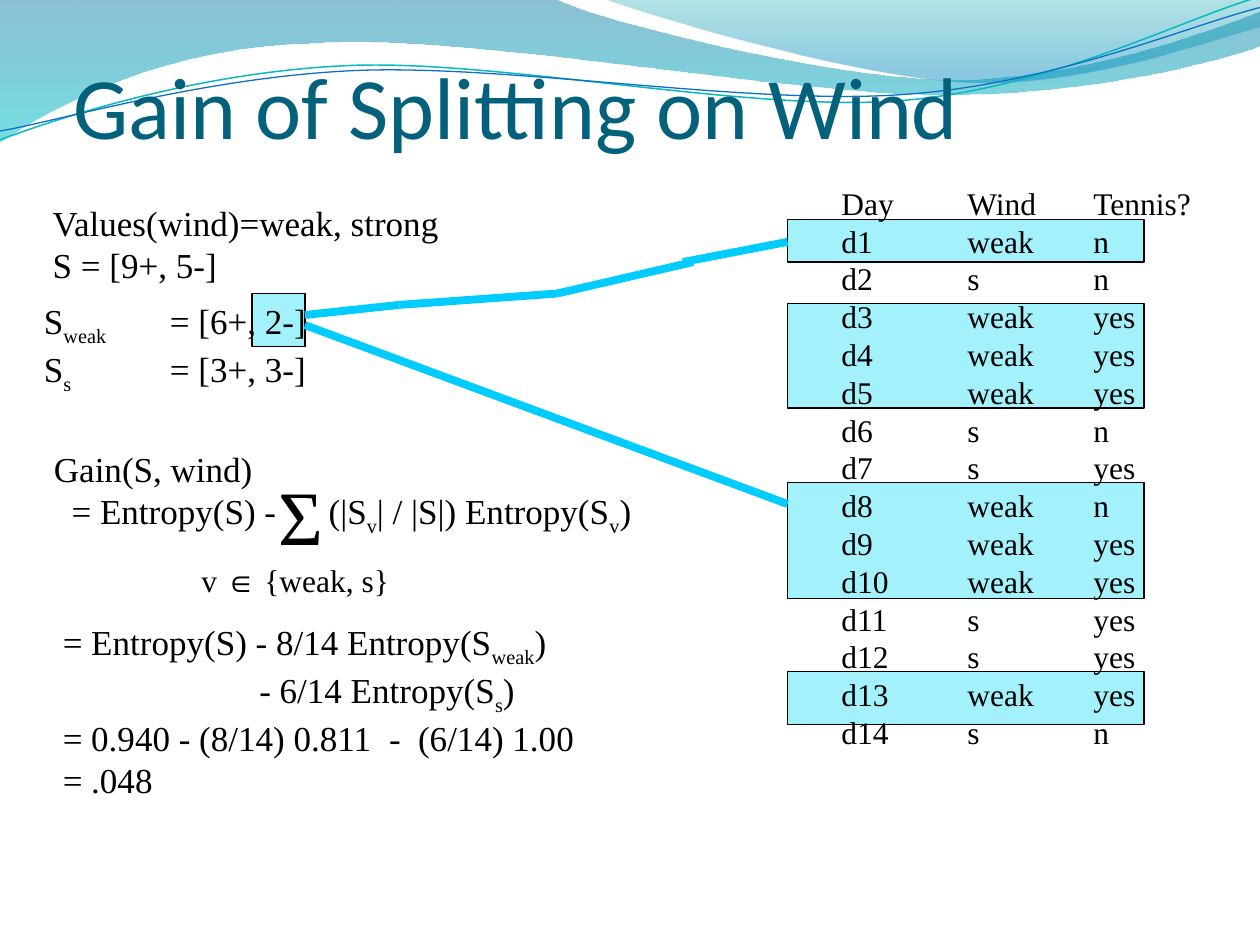
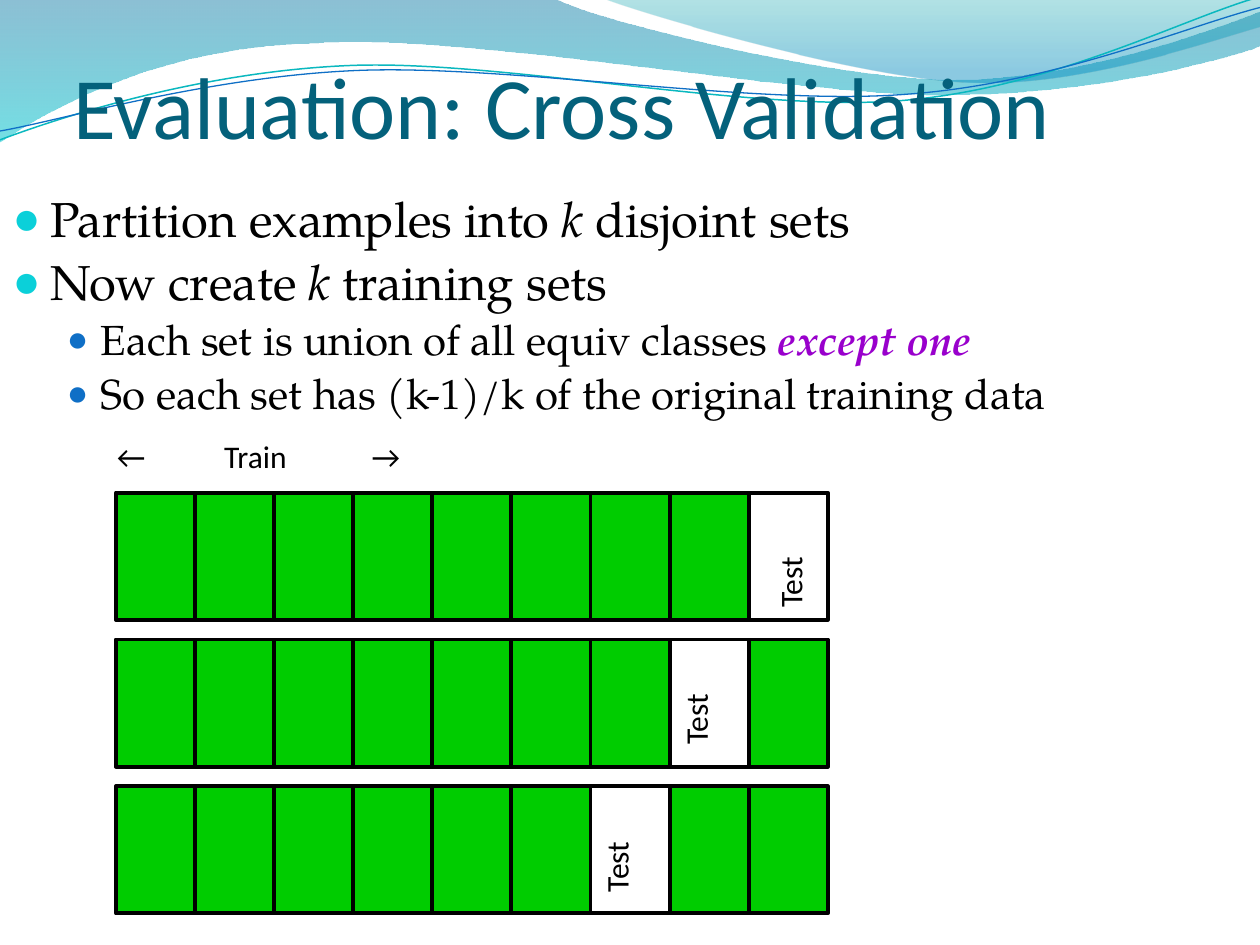
"""Build two lecture slides: information gain of a split, and cross validation."""
import dataclasses
import math
import typing

import lxml.etree
import pptx
import pptx.dml.color
import pptx.enum.shapes
import pptx.enum.text
import pptx.oxml.ns
import pptx.util

Inches = pptx.util.Inches
Pt = pptx.util.Pt
RGB = pptx.dml.color.RGBColor
RECT = pptx.enum.shapes.MSO_SHAPE.RECTANGLE
qn = pptx.oxml.ns.qn

TITLE = RGB(0x04, 0x61, 0x7B)
BLACK = RGB(0, 0, 0)
HIGHLIGHT = RGB(0xA3, 0xF1, 0xFB)
LINK = RGB(0x00, 0xCC, 0xFF)
TRAIN = RGB(0x00, 0xCC, 0x00)
EMPHASIS = RGB(0x99, 0x00, 0xCC)
BULLETS = ("0BD0D9", "0F6FC6")
SERIF, SANS, BODY = "Times New Roman", "Calibri", "TeX Gyre Pagella"
WAVE_TILT = 2.7


class Stop(typing.NamedTuple):
    position: float
    color: RGB
    alpha: int


@dataclasses.dataclass(frozen=True)
class Wave:
    start: tuple[float, float]
    segments: list[tuple[float, ...]]
    stops: tuple[Stop, ...] = ()
    line: RGB | None = None
    width: float = 0
    center: tuple[float, float] = (0, 0)


@dataclasses.dataclass(frozen=True)
class Line:
    text: str
    size: float = 20
    indent: float = 0
    before: float = 0
    tabs: tuple[float, ...] = ()


class Box(typing.NamedTuple):
    left: float
    top: float
    width: float
    height: float


class Fold(typing.NamedTuple):
    test_cell: int
    label_left: float
    label_top: float


WAVES = [
    Wave((0, 0), [(4.4, -0.01), (4.76, 0.17, 6.64, 0.63, 7.58, 0.63),
                  (8.53, 0.63, 9.58, 0.26, 10, 0.09), (10.01, 0.36),
                  (9.83, 0.44, 8.7, 0.76, 7.46, 0.75),
                  (6.22, 0.75, 3.82, 0.28, 2.57, 0.34),
                  (1.29, 0.36, 0.46, 0.83, -0.01, 1.13), (0, 0)],
         stops=(Stop(0, RGB(0x00, 0x74, 0xA1), 45), Stop(1, RGB(0x00, 0xC6, 0xCF), 55))),
    Wave((4.79, -0.01), [(5.09, 0.11, 6.82, 0.62, 7.69, 0.65),
                         (8.56, 0.69, 9.61, 0.32, 10, 0.21), (10, 0), (4.79, -0.01)],
         stops=(Stop(0, RGB(0x00, 0xA1, 0xA9), 30), Stop(0.8, RGB(0x00, 0x8B, 0xBF), 45))),
    Wave((0, 1.11), [(0.48, 0.93, 1.58, 0.57, 2.77, 0.52),
                     (3.95, 0.47, 5.93, 0.89, 7.13, 0.8),
                     (8.33, 0.71, 9.38, 0.15, 9.98, -0.02)],
         line=RGB(0x0A, 0xB8, 0xBF), width=0.85, center=(4.99, 0.58)),
    Wave((0, 1.04), [(0.47, 0.96, 1.64, 0.61, 2.83, 0.56),
                     (4.03, 0.51, 5.97, 0.84, 7.17, 0.75),
                     (8.36, 0.67, 9.41, 0.21, 10, 0.06)],
         line=RGB(0x0F, 0x6F, 0xC6), width=0.75, center=(5, 0.59)),
]

DAYS = ["Day\tWind\tTennis?", "d1\tweak\tn", "d2\ts\tn", "d3\tweak\tyes", "d4\tweak\tyes",
        "d5\tweak\tyes", "d6\ts\tn", "d7\ts\tyes", "d8\tweak\tn", "d9\tweak\tyes",
        "d10\tweak\tyes", "d11\ts\tyes", "d12\ts\tyes", "d13\tweak\tyes", "d14\ts\tn"]
WEAK_BANDS = [(5.33, 0.42), (3.83, 0.92), (2.41, 0.83), (1.74, 0.34)]
LINKS = [(2.42, 2.5, 3.17, 2.42), (3.17, 2.42, 4.42, 2.33), (4.42, 2.33, 5.5, 2.08),
         (5.42, 2.08, 6.25, 1.92), (2.42, 2.58, 6.25, 4)]
GAIN = [
    Line("Gain(S, wind)"),
    Line("\t= Entropy(S) -\t(|S_v_| / |S|) Entropy(S_v_)", tabs=(0.14, 2.18)),
    Line("= Entropy(S) - 8/14 Entropy(S_weak_)", indent=0.07, before=48),
    Line("- 6/14 Entropy(S_s_)", indent=1.63),
    Line("\t= 0.940 - (8/14) 0.811\t-\t(6/14) 1.00", tabs=(0.07, 2.66, 2.89)),
    Line("= .048", indent=0.07),
]
POINTS = [(0, "Partition examples into *k* disjoint sets"),
          (0, "Now create *k *training sets"),
          (1, "Each set is union of all equiv classes *except one*"),
          (1, "So each set has (k-1)/k of the original training data")]

FOLDS = [Fold(8, 5.85, 4.2), Fold(7, 5.1, 5.29), Fold(6, 4.47, 6.46)]
CELLS = 9
GRID_LEFT, GRID_TOP, GRID_WIDTH = 0.92, 3.91, 5.65
CELL_HEIGHT, ROW_PITCH = 1.01, 2.33 / 2


def sub(parent, tag: str, **attrs: str):
    """Append a DrawingML element."""
    return lxml.etree.SubElement(parent, qn(tag), attrs)


def wave_points(wave: Wave) -> list[tuple[int, int]]:
    """List the nodes and handles of a wave, level if it is to be tilted."""
    points = [wave.start]
    for seg in wave.segments:
        points += zip(seg[::2], seg[1::2])
    if wave.line:
        cos, sin = math.cos(math.radians(WAVE_TILT)), math.sin(math.radians(WAVE_TILT))
        cx, cy = wave.center
        points = [(cx + (x - cx) * cos - (y - cy) * sin, cy + (x - cx) * sin + (y - cy) * cos)
                  for x, y in points]
    return [(Inches(x), Inches(y)) for x, y in points]


def bend(sp, wave: Wave) -> None:
    """Turn each three-point stretch of the outline into a Bezier curve."""
    steps = iter(list(sp.element.spPr.iter(qn("a:lnTo"))))
    for seg in wave.segments:
        first = next(steps)
        if len(seg) == 6:
            first.tag = qn("a:cubicBezTo")
            for step in (next(steps), next(steps)):
                first.append(step[0])
                step.getparent().remove(step)


def add_wave(slide, wave: Wave):
    """Draw one wave of the header."""
    points = wave_points(wave)
    builder = slide.shapes.build_freeform(*points[0])
    builder.add_line_segments(points[1:], close=bool(wave.stops))
    sp = builder.convert_to_shape()
    sp.shadow.inherit = False
    if wave.stops:
        sp.line.fill.background()
        sp.fill.gradient()
        sp.fill.gradient_angle = 270
        for gs, stop in zip(sp.fill.gradient_stops, wave.stops):
            gs.position = stop.position
            gs.color.rgb = stop.color
        for clr, stop in zip(sp.element.spPr.iter(qn("a:srgbClr")), wave.stops):
            sub(clr, "a:alpha", val=str(stop.alpha * 1000))
    else:
        sp.fill.background()
        sp.line.color.rgb = wave.line
        sp.line.width = Pt(wave.width)
        sp.rotation = -WAVE_TILT
    bend(sp, wave)
    return sp


def move_to_master(prs, shapes: list) -> None:
    """Put shapes behind everything else on the slide master."""
    tree = prs.slide_master.shapes.element
    for i, sp in enumerate(shapes):
        sp.element.nvSpPr.cNvPr.set("id", str(100 + i))
        tree.insert(2 + i, sp.element)


def place(sp, box: Box) -> None:
    """Move and size a shape."""
    sp.left, sp.top, sp.width, sp.height = map(Inches, box)


def add_title(slide, text: str) -> None:
    """Fill and format the title placeholder."""
    sp = slide.shapes.title
    place(sp, Box(0.58, 0, 9, 1.25))
    tf = sp.text_frame
    tf.text = text
    tf.auto_size = pptx.enum.text.MSO_AUTO_SIZE.NONE
    tf.vertical_anchor = pptx.enum.text.MSO_ANCHOR.BOTTOM
    tf.margin_left = tf.margin_right = tf.margin_bottom = 0
    tf.margin_top = Inches(0.05)
    p = tf.paragraphs[0]
    p.alignment = pptx.enum.text.PP_ALIGN.LEFT
    style(p.runs[0], 50, SANS, TITLE)


def style(r, size: float, font: str, color: RGB = BLACK) -> None:
    """Set the size, font and colour of a run."""
    r.font.size, r.font.name = Pt(size), font
    r.font.color.rgb = color


def add_runs(p, text: str, mark: str, size: float, font: str) -> list:
    """Add styled runs and return those that stand between marks."""
    marked = []
    for i, part in enumerate(text.split(mark)):
        if part:
            r = p.add_run()
            r.text = part
            style(r, size, font)
            if i % 2:
                marked.append(r)
    return marked


def add_text(slide, box: Box, lines: list[Line], font: str = SERIF):
    """Add a text box whose underscored parts are subscripts."""
    sp = slide.shapes.add_textbox(*map(Inches, box))
    tf = sp.text_frame
    tf.word_wrap = True
    for i, line in enumerate(lines):
        p = tf.add_paragraph() if i else tf.paragraphs[0]
        for r in add_runs(p, line.text, "_", line.size, font):
            r._r.get_or_add_rPr().set("baseline", "-25000")
        if line.before:
            p.space_before = Pt(line.before)
        pPr = p._p.get_or_add_pPr()
        pPr.set("marL", str(Inches(line.indent)))
        pPr.set("defTabSz", str(Inches(1)))
        if line.tabs:
            tab_list = sub(pPr, "a:tabLst")
            for pos in line.tabs:
                sub(tab_list, "a:tab", pos=str(Inches(pos)), algn="l")
    return sp


def add_rect(slide, box: Box, fill: RGB | None, width: float) -> None:
    """Add a black outlined rectangle."""
    sp = slide.shapes.add_shape(RECT, *map(Inches, box))
    sp.shadow.inherit = False
    if fill is None:
        sp.fill.background()
    else:
        sp.fill.solid()
        sp.fill.fore_color.rgb = fill
    sp.line.color.rgb = BLACK
    sp.line.width = Pt(width)


def add_link(slide, ends: tuple[float, ...]) -> None:
    """Add a thick straight line."""
    c = slide.shapes.add_connector(pptx.enum.shapes.MSO_CONNECTOR.STRAIGHT, *map(Inches, ends))
    c.line.color.rgb = LINK
    c.line.width = Pt(4.5)
    sub(c.element.spPr, "a:effectLst")


def add_points(slide) -> None:
    """Fill the body placeholder with the bulleted list."""
    sp = slide.placeholders[1]
    place(sp, Box(0, 1.5, 10.17, 4.49))
    tf = sp.text_frame
    tf.auto_size = pptx.enum.text.MSO_AUTO_SIZE.NONE
    for i, (level, text) in enumerate(POINTS):
        p = tf.add_paragraph() if i else tf.paragraphs[0]
        size = (28, 24)[level]
        for r in add_runs(p, text, "*", size, BODY):
            r.font.italic = True
            if level:
                r.font.bold = True
                r.font.color.rgb = EMPHASIS
        p.level, p.line_spacing, p.space_before = level, 0.9, Pt(size * 0.2)
        pPr = p._p.get_or_add_pPr()
        pPr.set("marL", str(Inches((0.3, 0.7)[level])))
        pPr.set("indent", str(-Inches((0.3, 0.27)[level])))
        sub(sub(pPr, "a:buClr"), "a:srgbClr", val=BULLETS[level])
        sub(pPr, "a:buSzPct", val=("95000", "85000")[level])
        sub(pPr, "a:buChar", char="●")


def build_gain(slide) -> None:
    """Build the slide on the gain of splitting on wind."""
    for top, height in WEAK_BANDS:
        add_rect(slide, Box(6.25, top, 2.83, height), HIGHLIGHT, 0.75)
    add_text(slide, Box(6.58, 1.41, 3, 4.64), [Line(day, 18) for day in DAYS])
    add_title(slide, "Gain of Splitting on Wind")
    add_text(slide, Box(0.32, 1.55, 3.29, 0.77),
             [Line("Values(wind)=weak, strong"), Line("S = [9+, 5-]")])
    add_text(slide, Box(0.33, 3.5, 4.84, 2.79), GAIN)
    add_text(slide, Box(1.5, 3.67, 1.85, 1.13),
             [Line("Σ", 44, indent=0.61), Line("v ∈ {weak, s}", 18)])
    add_rect(slide, Box(2, 2.33, 0.42, 0.42), HIGHLIGHT, 0.75)
    for ends in LINKS:
        add_link(slide, ends)
    add_text(slide, Box(0.25, 2.33, 3.42, 0.77),
             [Line("S_weak_\t= [6+, 2-]"), Line("S_s_\t= [3+, 3-]")])


def build_validation(slide) -> None:
    """Build the slide on cross validation."""
    add_title(slide, "Evaluation: Cross Validation")
    add_points(slide)
    add_text(slide, Box(0.83, 3.42, 5.02, 0.5),
             [Line("←\tTrain\t→", 18, tabs=(0.85, 2.02))], SANS)
    width = GRID_WIDTH / CELLS
    for row, fold in enumerate(FOLDS):
        for col in range(CELLS):
            box = Box(GRID_LEFT + col * width, GRID_TOP + row * ROW_PITCH, width, CELL_HEIGHT)
            add_rect(slide, box, None if col == fold.test_cell else TRAIN, 2.25)
        label = Box(fold.label_left, fold.label_top, 0.94, 0.5)
        add_text(slide, label, [Line("Test", 18)], SANS).rotation = 270


prs = pptx.Presentation()
prs.slide_width, prs.slide_height = Inches(10), Inches(7.5)
gain = prs.slides.add_slide(prs.slide_layouts[5])
move_to_master(prs, [add_wave(gain, wave) for wave in WAVES])
build_gain(gain)
build_validation(prs.slides.add_slide(prs.slide_layouts[1]))
prs.save("out.pptx")
